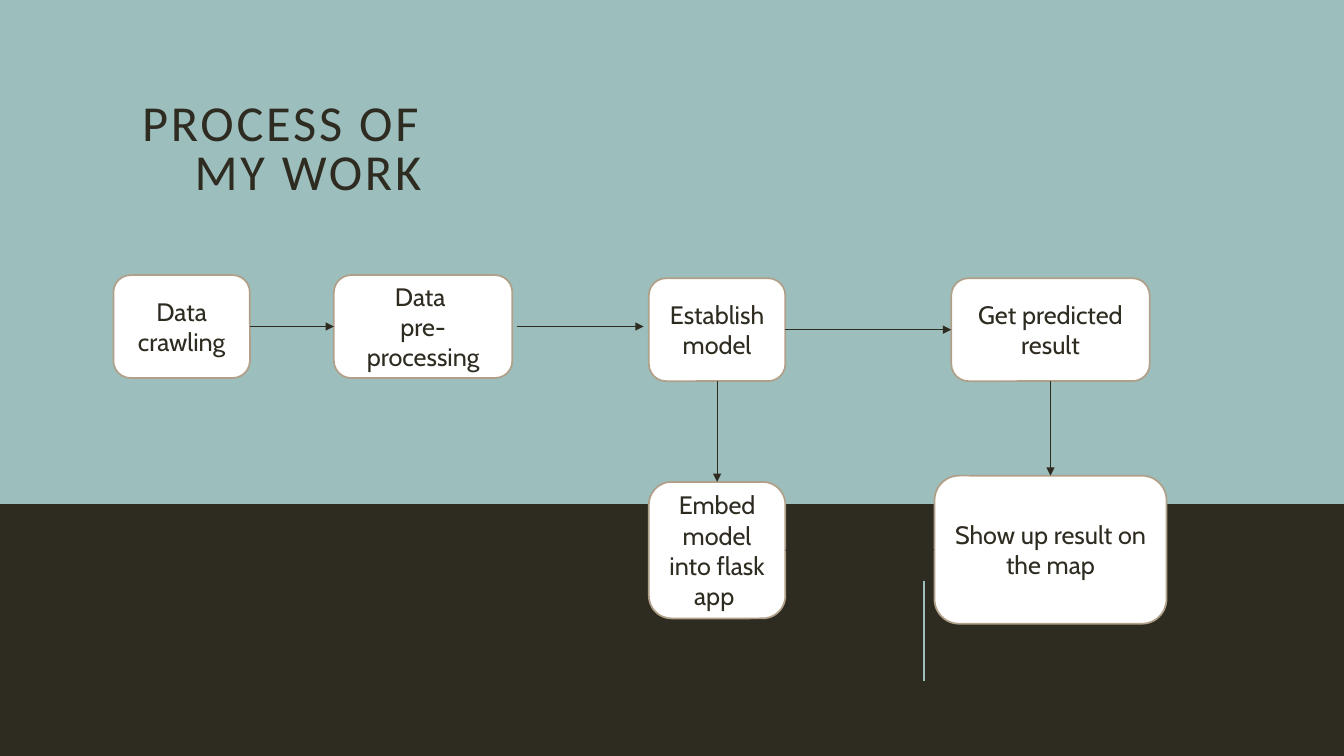
from dataclasses import dataclass

from lxml.etree import SubElement
from pptx import Presentation
from pptx.dml.color import RGBColor
from pptx.enum.shapes import MSO_CONNECTOR, MSO_SHAPE
from pptx.enum.text import MSO_ANCHOR, PP_ALIGN
from pptx.oxml.ns import qn
from pptx.util import Emu, Pt

EMU_PER_PX = 9525
TOP, LEFT, BOTTOM, RIGHT = range(4)


@dataclass(frozen=True)
class Theme:
    dark: RGBColor = RGBColor.from_string("2E2B21")
    teal: RGBColor = RGBColor.from_string("9CBEBD")
    white: RGBColor = RGBColor.from_string("FFFFFF")
    tan: RGBColor = RGBColor.from_string("B1A089")
    title_font: str = "Calibri"
    body_font: str = "Cabin"
    title_size: int = 36
    body_size: int = 18


def px(n):
    return Emu(n * EMU_PER_PX)


class Deck:
    def __init__(self, theme, width, height):
        self.theme = theme
        self.prs = Presentation()
        self.prs.slide_width, self.prs.slide_height = px(width), px(height)
        self.slide = self.prs.slides.add_slide(self.prs.slide_layouts[6])

    def background(self, color):
        fill = self.slide.background.fill
        fill.solid()
        fill.fore_color.rgb = color

    def shape(self, kind, box, fill, outline=None):
        sp = self.slide.shapes.add_shape(kind, *map(px, box))
        sp.shadow.inherit = False
        sp.fill.solid()
        sp.fill.fore_color.rgb = fill
        if outline is None:
            sp.line.fill.background()
        else:
            sp.line.color.rgb = outline
            sp.line.width = Pt(1.25)
        return sp

    def label(self, sp, text, font, size, align):
        tf = sp.text_frame
        tf.word_wrap = True
        tf.vertical_anchor = MSO_ANCHOR.MIDDLE
        tf.text = text
        for p in tf.paragraphs:
            p.alignment = align
            for r in p.runs:
                r.font.name, r.font.size = font, Pt(size)
                r.font.color.rgb = self.theme.dark
        return tf

    def title(self, box, text):
        t = self.theme
        sp = self.slide.shapes.add_textbox(*map(px, box))
        p = self.label(sp, text, t.title_font, t.title_size, PP_ALIGN.RIGHT).paragraphs[0]
        p.line_spacing = 0.8
        p.runs[0]._r.get_or_add_rPr().set("spc", "200")

    def step(self, box, text):
        t = self.theme
        sp = self.shape(MSO_SHAPE.ROUNDED_RECTANGLE, box, t.white, t.tan)
        self.label(sp, text, t.body_font, t.body_size, PP_ALIGN.CENTER)
        return sp

    def line(self, start, end, color, width):
        cx = self.slide.shapes.add_connector(
            MSO_CONNECTOR.STRAIGHT, *map(px, (*start, *end)))
        cx.line.color.rgb = color
        cx.line.width = Pt(width)
        SubElement(cx._element.spPr, qn("a:effectLst"))
        return cx

    def arrow(self, start=(0, 0), end=(0, 0)):
        cx = self.line(start, end, self.theme.dark, 0.75)
        SubElement(cx._element.spPr.find(qn("a:ln")), qn("a:tailEnd"), type="triangle")
        return cx

    def link(self, source, source_side, target, target_side):
        cx = self.arrow()
        cx.begin_connect(source, source_side)
        cx.end_connect(target, target_side)


def main():
    theme = Theme()
    deck = Deck(theme, 1280, 720)

    # Backdrop
    deck.background(theme.dark)
    deck.line((880, 649), (880, 553), theme.teal, 1.5)
    deck.shape(MSO_SHAPE.RECTANGLE, (0, 0, 1280, 480), theme.teal)

    # Title
    deck.title((108, 14, 303, 261), "PROCESS OF MY WORK")

    # Process steps
    crawl = deck.step((108, 262, 130, 98), "Data crawling")
    prep = deck.step((318, 262, 170, 98), "Data \npre-processing")
    predict = deck.step((906, 265, 189, 98), "Get predicted result")
    model = deck.step((618, 265, 130, 98), "Establish model")
    embed = deck.step((618, 459, 130, 130), "Embed model into flask app ")
    show = deck.step((890, 453, 221, 141), "Show up result on the map")

    # Flow arrows
    deck.link(crawl, RIGHT, prep, LEFT)
    deck.arrow((492, 311), (613, 311))
    deck.link(model, BOTTOM, embed, TOP)
    deck.link(model, RIGHT, predict, LEFT)
    deck.link(predict, BOTTOM, show, TOP)
    deck.link(embed, RIGHT, show, LEFT)

    deck.prs.save("out.pptx")


if __name__ == "__main__":
    main()
